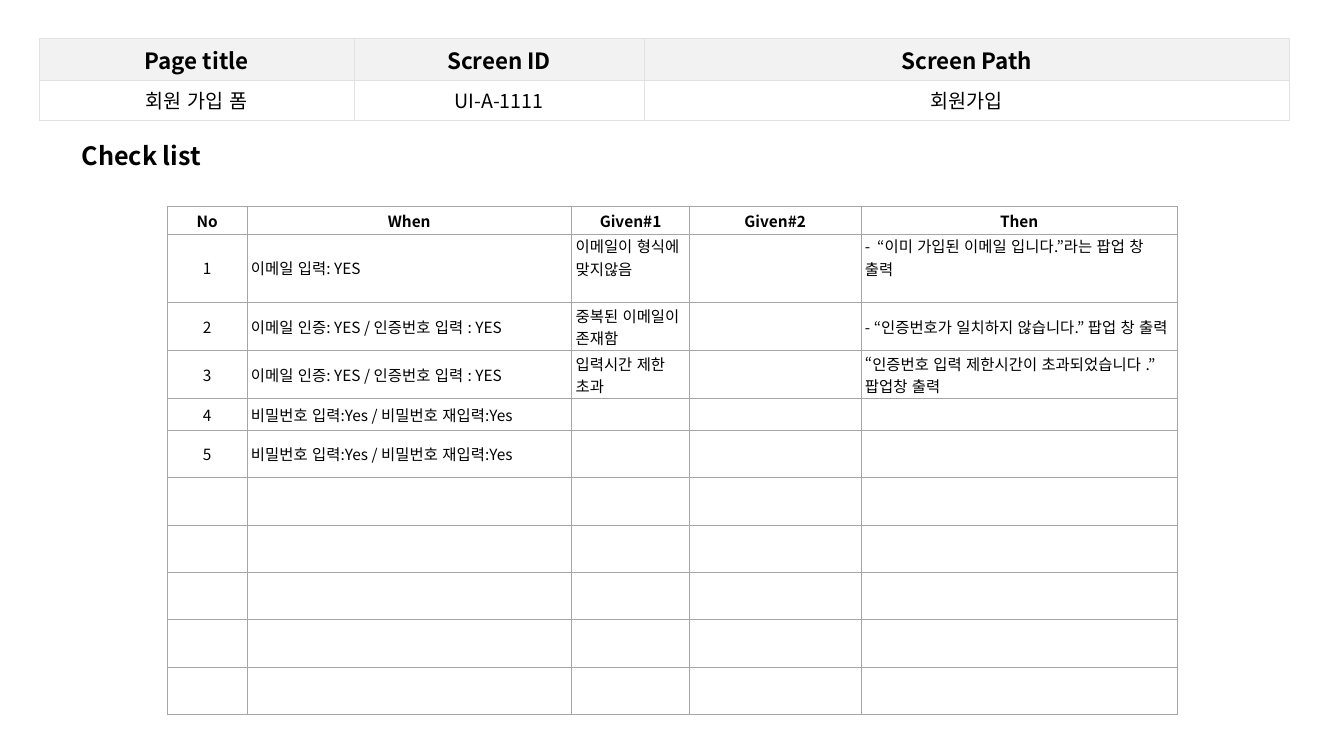
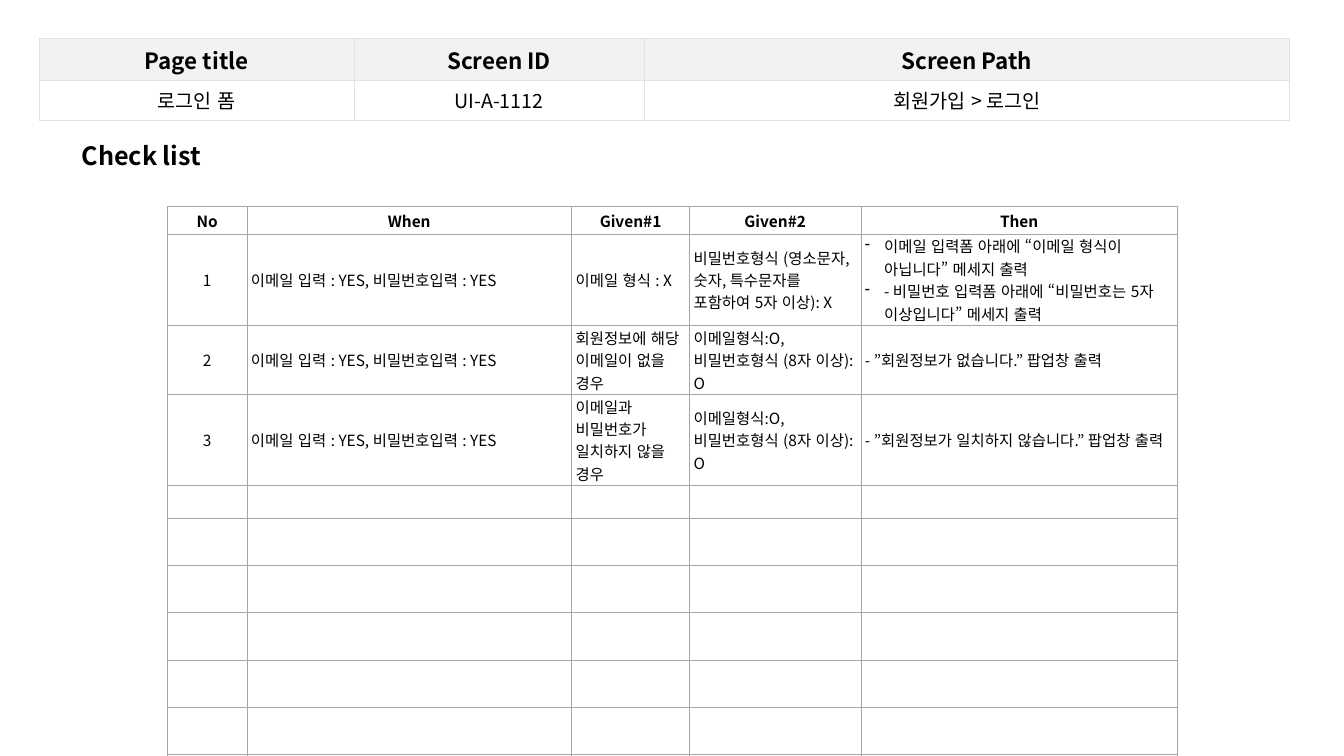
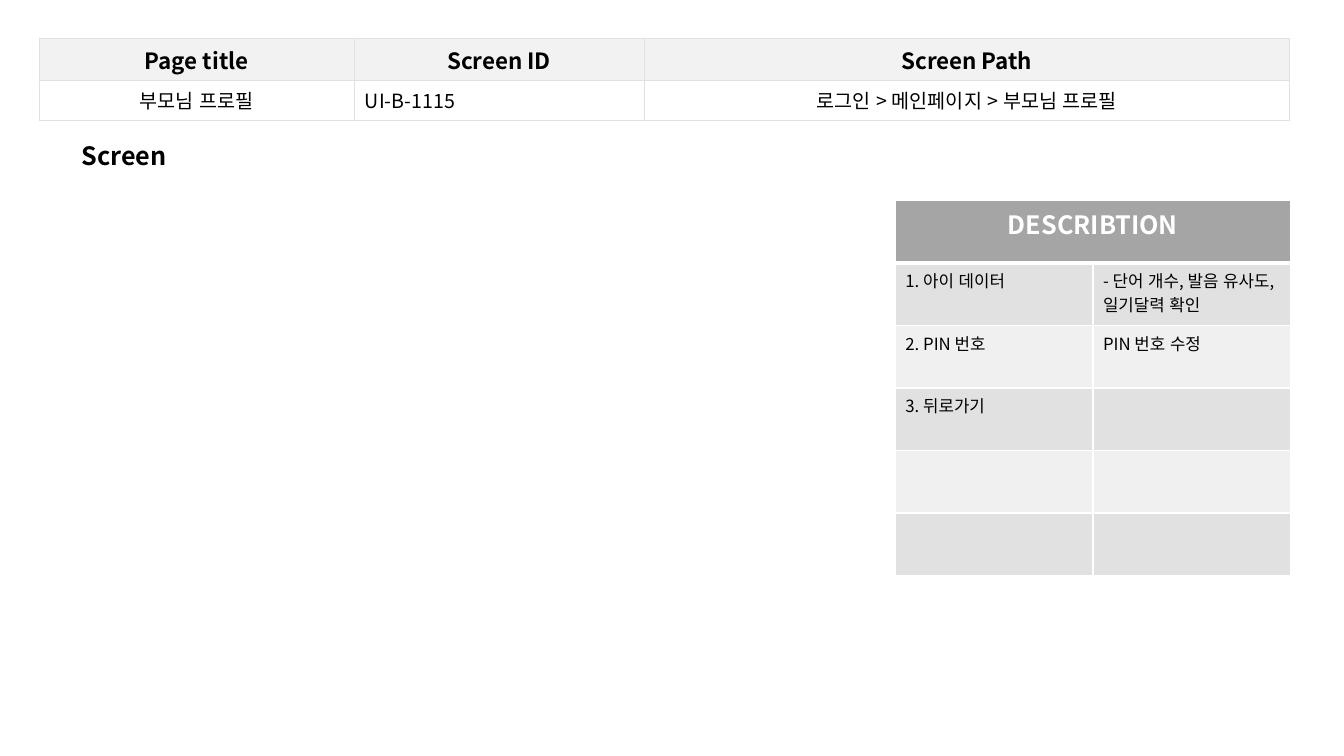
import dataclasses
import lxml.etree
import pptx
import pptx.dml.color
import pptx.enum.lang
import pptx.enum.text
import pptx.oxml.ns
import pptx.util

Inches = pptx.util.Inches
Pt = pptx.util.Pt
qn = pptx.oxml.ns.qn
ALIGN = pptx.enum.text.PP_ALIGN
ANCHOR = pptx.enum.text.MSO_ANCHOR


@dataclasses.dataclass(frozen=True)
class Theme:
    font: str = "Noto Sans CJK KR"
    ink: str = "000000"
    paper: str = "FFFFFF"
    head_fill: str = "F2F2F2"
    head_line: str = "DFE2E5"
    check_line: str = "A6A6A6"
    note_head: str = "A5A5A5"
    note_bands: tuple = ("E1E1E1", "F0F0F0")
    section_size: int = 18
    head_size: int = 16
    value_size: int = 14
    note_size: int = 12
    check_size: int = 11


THEME = Theme()
WIDTH, HEIGHT = 13.33, 7.5

HEAD_LABELS = ("Page title", "Screen ID", "Screen Path")
HEAD_COLS = (3.12, 2.88, 6.4)
HEAD_ROWS = (0.42, 0.39)
HEAD_AT = (0.39, 0.38)
SECTION_AT = (0.71, 1.34, 3.82, 0.4)

CHECK_LABELS = ("No", "When", "Given#1", "Given#2", "Then")
CHECK_COLS = (0.79, 3.22, 1.17, 1.7, 3.14)
CHECK_AT = (1.66, 2.05)
CHECK_HEAD_ROW, SHORT_ROW, FULL_ROW = 0.27, 0.32, 0.47
CHECK_ROW_COUNT = 10

NOTE_COLS = (1.96, 1.96)
NOTE_ROW = 0.62
NOTE_AT = (8.88, 1.99)
NOTE_BODY_COUNT = 5

EMAIL_CODE = "이메일 인증: YES / 인증번호 입력 : YES"
PASSWORD_TWICE = "비밀번호 입력:Yes / 비밀번호 재입력:Yes"
EMAIL_PASSWORD = "이메일 입력 : YES, 비밀번호입력 : YES"
BOTH_VALID = "이메일형식:O, 비밀번호형식 (8자 이상): O"

SCREENS = [
    {
        "head": ("회원 가입 폼", "UI-A-1111", "회원가입"),
        "section": "Check list",
        "checks": [
            ("이메일 입력: YES", "이메일이 형식에 맞지않음", "",
             "-  “이미 가입된 이메일 입니다.”라는 팝업 창 출력"),
            (EMAIL_CODE, "중복된 이메일이 존재함", "",
             "- “인증번호가 일치하지 않습니다.” 팝업 창 출력"),
            (EMAIL_CODE, "입력시간 제한 초과", "",
             "“인증번호 입력 제한시간이 초과되었습니다 .” 팝업창 출력"),
            (PASSWORD_TWICE, "", "", ""),
            (PASSWORD_TWICE, "", "", ""),
        ],
        "check_rows": (0.68, 0.48, FULL_ROW, SHORT_ROW),
        "top_cells": {(1, 2), (1, 4)},
    },
    {
        "head": ("로그인 폼", "UI-A-1112", "회원가입 > 로그인"),
        "section": "Check list",
        "checks": [
            (EMAIL_PASSWORD, "이메일 형식 : X",
             "비밀번호형식 (영소문자, 숫자, 특수문자를 포함하여 5자 이상): X",
             ["이메일 입력폼 아래에 “이메일 형식이 아닙니다” 메세지 출력",
              "- 비밀번호 입력폼 아래에 “비밀번호는 5자 이상입니다” 메세지 출력"]),
            (EMAIL_PASSWORD, "회원정보에 해당 이메일이 없을 경우", BOTH_VALID,
             "- ”회원정보가 없습니다.” 팝업창 출력"),
            (EMAIL_PASSWORD, "이메일과 비밀번호가 일치하지 않을 경우", BOTH_VALID,
             "- ”회원정보가 일치하지 않습니다.” 팝업창 출력"),
        ],
        "check_rows": (0.91, 0.68, 0.91, SHORT_ROW),
        "top_cells": set(),
    },
    {
        "head": ("부모님 프로필", "UI-B-1115", "로그인 > 메인페이지 > 부모님 프로필"),
        "left_id": True,
        "section": "Screen",
        "note_title": "DESCRIBTION",
        "notes": [
            ("1. 아이 데이터", "- 단어 개수, 발음 유사도, 일기달력 확인"),
            ("2. PIN 번호", "PIN 번호 수정"),
            ("3. 뒤로가기", ""),
        ],
    },
]


def rgb(color):
    return pptx.dml.color.RGBColor.from_string(color)


def add_text(paragraph, text, size, bold=False, color=THEME.ink):
    run = paragraph.add_run()
    run.text = text
    font = run.font
    font.size, font.bold, font.name = Pt(size), bold, THEME.font
    font.color.rgb = rgb(color)
    font.language_id = pptx.enum.lang.MSO_LANGUAGE_ID.KOREAN
    east_asian = lxml.etree.SubElement(font._element, qn("a:ea"))
    east_asian.set("typeface", THEME.font)


def add_dash(paragraph):
    properties = paragraph._p.get_or_add_pPr()
    properties.set("marL", str(Inches(0.19)))
    properties.set("indent", str(-Inches(0.19)))
    lxml.etree.SubElement(properties, qn("a:buChar")).set("char", "-")


def set_borders(cell, color, width, **side_widths):
    properties = cell._tc.get_or_add_tcPr()
    for index, side in enumerate("LRTB"):
        line = lxml.etree.Element(qn("a:ln" + side))
        line.set("w", str(Pt(side_widths.get(side, width))))
        fill = lxml.etree.SubElement(line, qn("a:solidFill"))
        lxml.etree.SubElement(fill, qn("a:srgbClr")).set("val", color)
        properties.insert(index, line)


def fill_cell(cell, content, size, fill, bold=False, color=THEME.ink,
              align=ALIGN.LEFT, anchor=ANCHOR.MIDDLE, margins=(0.1, 0.05)):
    cell.fill.solid()
    cell.fill.fore_color.rgb = rgb(fill)
    cell.vertical_anchor = anchor
    cell.margin_left = cell.margin_right = Inches(margins[0])
    cell.margin_top = cell.margin_bottom = Inches(margins[1])
    frame = cell.text_frame
    dashed = isinstance(content, list)
    for index, text in enumerate(content if dashed else [content]):
        paragraph = frame.paragraphs[0] if index == 0 else frame.add_paragraph()
        paragraph.alignment = align
        if dashed:
            add_dash(paragraph)
        if text:
            add_text(paragraph, text, size, bold, color)
        else:
            end = lxml.etree.SubElement(paragraph._p, qn("a:endParaRPr"))
            end.set("sz", str(size * 100))


def add_grid(slide, at, cols, rows):
    table = slide.shapes.add_table(
        len(rows), len(cols), Inches(at[0]), Inches(at[1]),
        Inches(sum(cols)), Inches(sum(rows))).table
    table.first_row = table.horz_banding = False
    for column, width in zip(table.columns, cols):
        column.width = Inches(width)
    for row, height in zip(table.rows, rows):
        row.height = Inches(height)
    return table


def add_page_head(slide, screen):
    head = add_grid(slide, HEAD_AT, HEAD_COLS, HEAD_ROWS)
    for r, texts in enumerate((HEAD_LABELS, screen["head"])):
        for c, text in enumerate(texts):
            left = (r, c) == (1, 1) and screen.get("left_id")
            fill_cell(head.cell(r, c), text,
                      THEME.value_size if r else THEME.head_size,
                      THEME.paper if r else THEME.head_fill, bold=r == 0,
                      align=ALIGN.LEFT if left else ALIGN.CENTER,
                      margins=(0.11, 0.05))
            set_borders(head.cell(r, c), THEME.head_line, 0.6)


def add_section(slide, title):
    section = slide.shapes.add_textbox(*map(Inches, SECTION_AT)).text_frame
    section.word_wrap = True
    section.auto_size = pptx.enum.text.MSO_AUTO_SIZE.SHAPE_TO_FIT_TEXT
    add_text(section.paragraphs[0], title, THEME.section_size, bold=True)


def add_checks(slide, screen):
    checks = [(str(n), *check) for n, check in enumerate(screen["checks"], 1)]
    blanks = [("",) * len(CHECK_COLS)] * (CHECK_ROW_COUNT - len(checks))
    given = screen["check_rows"]
    rows = (CHECK_HEAD_ROW, *given, *[FULL_ROW] * (CHECK_ROW_COUNT - len(given)))
    grid = add_grid(slide, CHECK_AT, CHECK_COLS, rows)
    for r, texts in enumerate([CHECK_LABELS, *checks, *blanks]):
        for c, text in enumerate(texts):
            top = (r, c) in screen["top_cells"]
            fill_cell(grid.cell(r, c), text, THEME.check_size, THEME.paper,
                      bold=r == 0,
                      align=ALIGN.CENTER if r == 0 or c == 0 else ALIGN.LEFT,
                      anchor=ANCHOR.TOP if top else ANCHOR.MIDDLE,
                      margins=(0.04, 0.01 if r else 0.02))
            set_borders(grid.cell(r, c), THEME.check_line, 0.5)


def add_notes(slide, screen):
    notes = screen["notes"]
    blanks = [("", "")] * (NOTE_BODY_COUNT - len(notes))
    grid = add_grid(slide, NOTE_AT, NOTE_COLS, [NOTE_ROW] * (NOTE_BODY_COUNT + 1))
    title = grid.cell(0, 0)
    title.merge(grid.cell(0, 1))
    fill_cell(title, screen["note_title"], THEME.section_size, THEME.note_head,
              bold=True, color=THEME.paper, align=ALIGN.CENTER, anchor=ANCHOR.TOP)
    for c in range(len(NOTE_COLS)):
        set_borders(grid.cell(0, c), THEME.paper, 1, B=3)
    for r, texts in enumerate([*notes, *blanks], 1):
        for c, text in enumerate(texts):
            fill_cell(grid.cell(r, c), text, THEME.note_size,
                      THEME.note_bands[(r - 1) % 2], anchor=ANCHOR.TOP)
            set_borders(grid.cell(r, c), THEME.paper, 1, T=3 if r == 1 else 1)


def main():
    deck = pptx.Presentation()
    deck.slide_width, deck.slide_height = Inches(WIDTH), Inches(HEIGHT)
    for screen in SCREENS:
        slide = deck.slides.add_slide(deck.slide_layouts[6])
        add_page_head(slide, screen)
        if "checks" in screen:
            add_checks(slide, screen)
        add_section(slide, screen["section"])
        if "notes" in screen:
            add_notes(slide, screen)
    deck.save("out.pptx")


if __name__ == "__main__":
    main()
